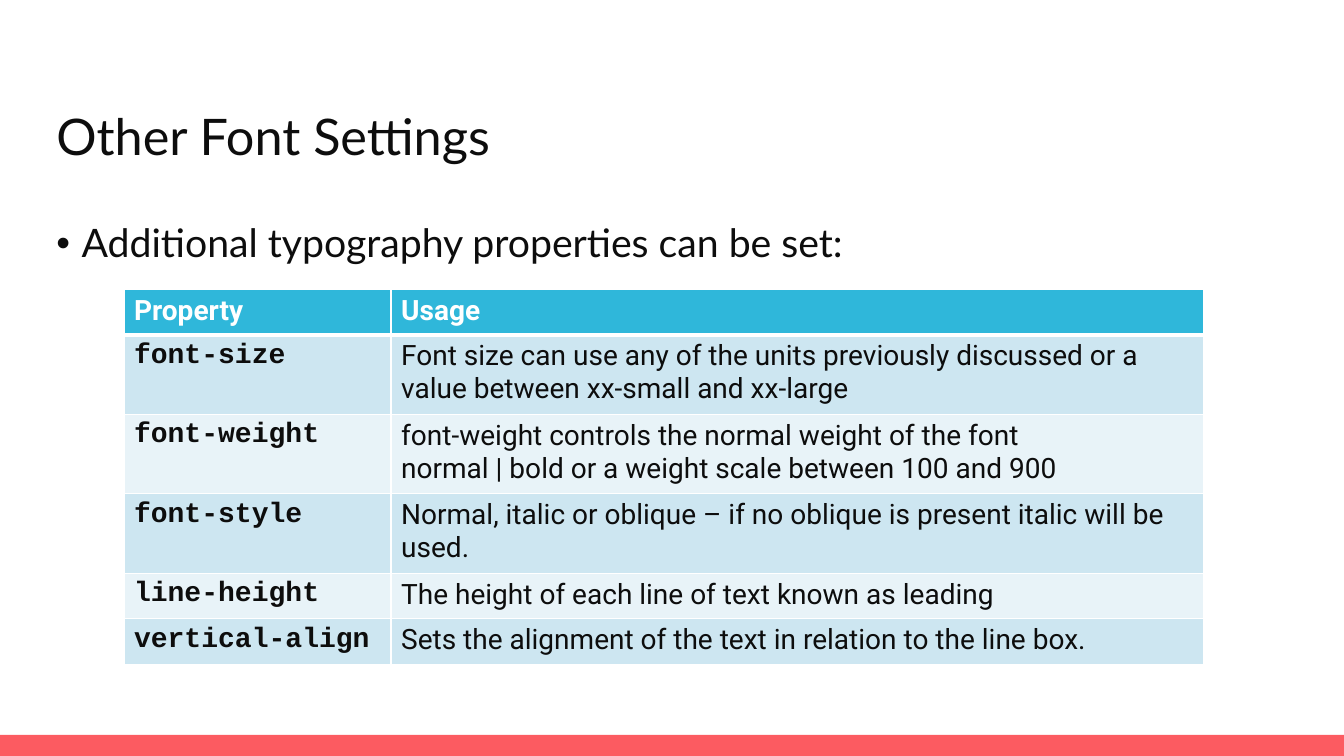
"""Build the slide on other CSS font settings."""
from lxml import etree
from pptx import Presentation
from pptx.dml.color import RGBColor
from pptx.enum.shapes import MSO_SHAPE
from pptx.enum.text import MSO_ANCHOR
from pptx.oxml.ns import qn
from pptx.util import Inches, Pt

RECTANGLE = MSO_SHAPE.RECTANGLE
TOP = MSO_ANCHOR.TOP

WHITE = RGBColor(0xFF, 0xFF, 0xFF)
INK = RGBColor(0x0D, 0x0D, 0x0D)
CORAL = RGBColor(0xFC, 0x5B, 0x61)
HEADER_BLUE = RGBColor(0x2F, 0xB7, 0xDA)
BANDS = (RGBColor(0xCD, 0xE6, 0xF1), RGBColor(0xE8, 0xF3, 0xF8))

HEADING_FONT, TABLE_FONT, CODE_FONT = "Lato", "Roboto", "Courier New"
GRID_COLUMNS, GRID_ROWS = 40, 30

HEADINGS = ("Property", "Usage")
PROPERTIES = (
    ("font-size", "Font size can use any of the units previously discussed "
                  "or a value between xx-small and xx-large"),
    ("font-weight", "font-weight controls the normal weight of the font\n"
                    "normal | bold or a weight scale between 100 and 900"),
    ("font-style", "Normal, italic or oblique – if no oblique is present "
                   "italic will be used."),
    ("line-height", "The height of each line of text known as leading"),
    ("vertical-align", "Sets the alignment of the text in relation to the line box."),
)


class SlideBuilder:
    """Draw styled elements on one slide, measured in grid columns and rows."""

    def __init__(self, presentation):
        self.column = presentation.slide_width / GRID_COLUMNS
        self.row = presentation.slide_height / GRID_ROWS
        self.slide = presentation.slides.add_slide(presentation.slide_layouts[6])

    def place(self, left, top, width, height):
        return (round(left * self.column), round(top * self.row),
                round(width * self.column), round(height * self.row))

    def add_words(self, paragraph, wording, font, size, color=INK, bold=False):
        for number, line in enumerate(wording.split("\n")):
            if number:
                paragraph.add_line_break()
            run = paragraph.add_run()
            run.text = line
            run.font.name = font
            run.font.size = Pt(size)
            run.font.bold = bold
            run.font.color.rgb = color

    def bar(self, area, color):
        band = self.slide.shapes.add_shape(RECTANGLE, *self.place(*area))
        band.shadow.inherit = False
        band.fill.solid()
        band.fill.fore_color.rgb = color
        band.line.fill.background()

    def text(self, area, wording, size, bullet=None):
        frame = self.slide.shapes.add_textbox(*self.place(*area)).text_frame
        frame.word_wrap = True
        frame.vertical_anchor = TOP
        frame.margin_left = frame.margin_right = 0
        paragraph = frame.paragraphs[0]
        paragraph.line_spacing = 0.9
        if bullet:
            properties = paragraph._p.get_or_add_pPr()
            properties.set("marL", str(Inches(0.25)))
            properties.set("indent", str(-Inches(0.25)))
            etree.SubElement(properties, qn("a:buFont"), typeface="Arial")
            etree.SubElement(properties, qn("a:buChar"), char=bullet)
        self.add_words(paragraph, wording, HEADING_FONT, size)

    def borders(self, cell, top, bottom):
        properties = cell._tc.get_or_add_tcPr()
        for side, points in (("L", 1), ("R", 1), ("T", top), ("B", bottom)):
            line = etree.SubElement(properties, qn(f"a:ln{side}"), w=str(Pt(points)))
            fill = etree.SubElement(line, qn("a:solidFill"))
            etree.SubElement(fill, qn("a:srgbClr"), val=str(WHITE))

    def cell(self, cell, wording, fill, font, color, bold, top=1, bottom=1):
        self.borders(cell, top, bottom)
        cell.fill.solid()
        cell.fill.fore_color.rgb = fill
        self.add_words(cell.text_frame.paragraphs[0], wording, font, 20, color, bold)

    def table(self, left, top, widths, heights, headings, entries):
        area = self.place(left, top, sum(widths), sum(heights))
        table = self.slide.shapes.add_table(len(heights), len(widths), *area).table
        for column, width in zip(table.columns, widths):
            column.width = round(width * self.column)
        for row, height in zip(table.rows, heights):
            row.height = round(height * self.row)
        for column, heading in enumerate(headings):
            self.cell(table.cell(0, column), heading, HEADER_BLUE,
                      TABLE_FONT, WHITE, True, bottom=3)
        for row, (name, usage) in enumerate(entries, 1):
            fill = BANDS[(row - 1) % 2]
            top_border = 3 if row == 1 else 1
            self.cell(table.cell(row, 0), name, fill, CODE_FONT, INK, True, top_border)
            self.cell(table.cell(row, 1), usage, fill, TABLE_FONT, INK, False, top_border)


def main():
    presentation = Presentation()
    presentation.slide_width = Inches(13.33)
    presentation.slide_height = Inches(7.5)
    builder = SlideBuilder(presentation)
    builder.bar((0, 29.16, GRID_COLUMNS, 0.84), CORAL)
    builder.text((1.68, 8.68, 36.64, 18.92),
                 "Additional typography properties can be set:", 28, "•")
    builder.text((1.68, 4.24, 36.64, 3.16), "Other Font Settings", 36)
    single, double = 1.8, 3.16
    builder.table(3.69, 11.48, (7.95, 24.19),
                  (single, double, double, double, single, single),
                  HEADINGS, PROPERTIES)
    presentation.save("out.pptx")


if __name__ == "__main__":
    main()
